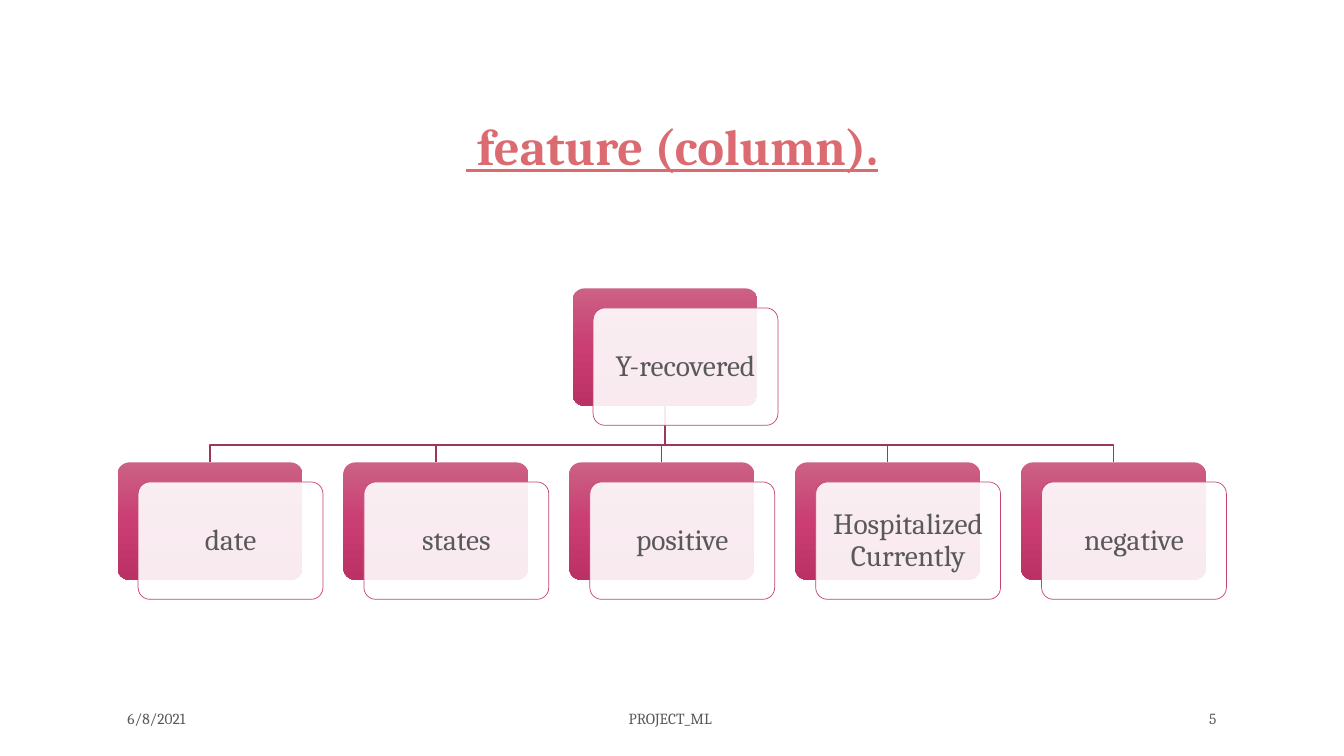
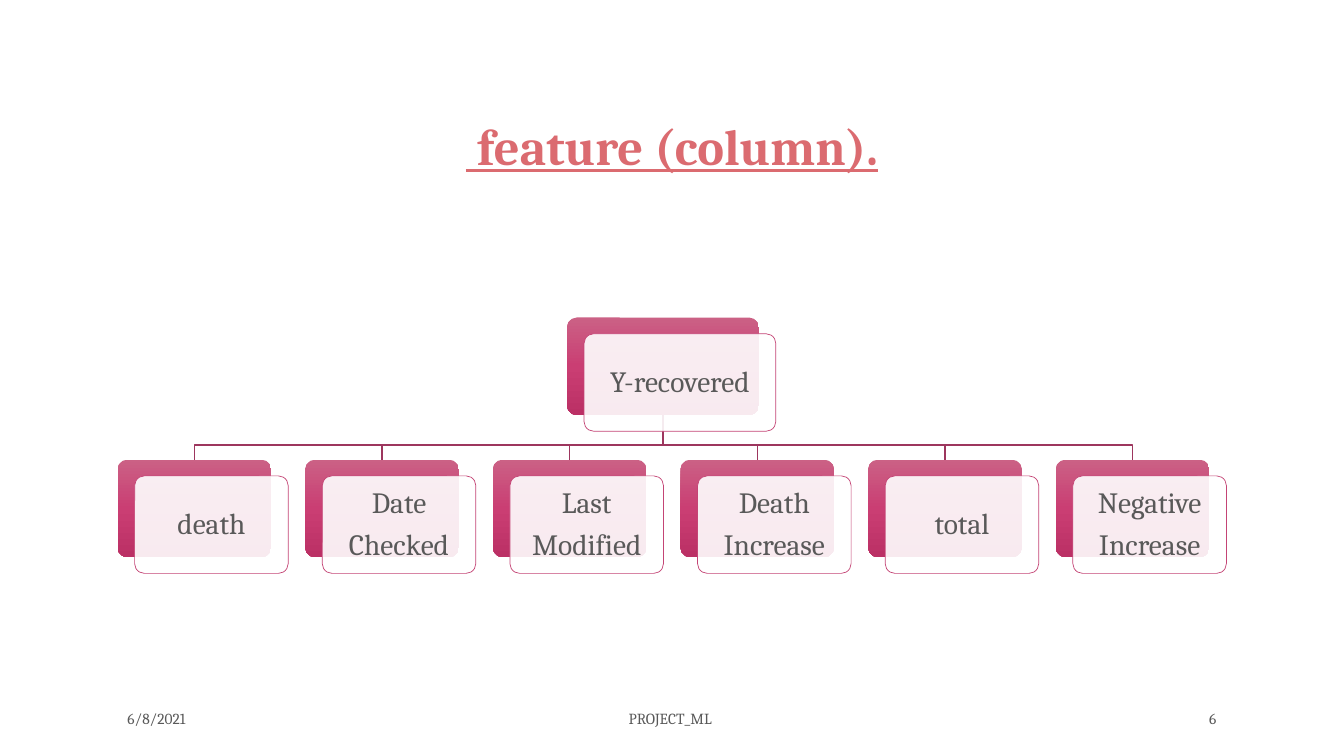
from copy import deepcopy
from dataclasses import dataclass

from lxml.etree import SubElement
from pptx import Presentation
from pptx.dml.color import RGBColor
from pptx.enum.shapes import MSO_SHAPE as Preset
from pptx.enum.text import MSO_ANCHOR as Anchor, MSO_AUTO_SIZE as AutoSize, PP_ALIGN as Align
from pptx.oxml.ns import qn
from pptx.shapes.autoshape import Shape
from pptx.slide import Slide
from pptx.text.text import TextFrame
from pptx.util import Pt

FONT = "Cambria"
CORAL = RGBColor(0xDB, 0x6B, 0x70)
GREY = RGBColor(0x59, 0x59, 0x59)
WHITE = RGBColor(0xFF, 0xFF, 0xFF)
PLUM = RGBColor(0x9D, 0x36, 0x5E)
ROSE = RGBColor(0xC4, 0x44, 0x75)
CARD_GRADIENT = (
    (0.0, RGBColor(0xCB, 0x61, 0x85)),
    (0.5, RGBColor(0xCA, 0x3E, 0x73)),
    (1.0, RGBColor(0xBB, 0x30, 0x65)),
)

MARGIN = 84
CONTENT_WIDTH = 792
BUS_TOP = 318
HEIGHT_RATIO = 0.635
TITLE = " feature (column)."
ROOT_LABEL = "Y-recovered"


@dataclass(frozen=True)
class Tree:
    number: int
    root_left: float
    root_top: float
    root_width: float
    leaf_top: float
    leaves: tuple[str, ...]


@dataclass(frozen=True)
class Card:
    label: str
    left: float
    top: float
    width: float
    height: float
    shift: float

    @property
    def middle(self) -> float:
        return self.left + self.width / 2


@dataclass(frozen=True)
class FooterPart:
    text: str
    left: float
    width: float
    align: Align


TREES = (
    Tree(5, 409, 206, 132, 330.3,
         ("date", "states", "positive", "Hospitalized Currently", "negative")),
    Tree(6, 405, 226.8, 137, 328.3,
         ("death", "Date\nChecked", "Last\nModified", "Death\nIncrease", "total",
          "Negative\nIncrease")),
)


def write(frame: TextFrame, text: str, *, size: float, color: RGBColor = GREY,
          align: Align = Align.CENTER, anchor: Anchor = Anchor.MIDDLE,
          bold: bool = False, underline: bool = False,
          line_spacing: float = 1.0, space_after: float = 0) -> None:
    frame.word_wrap = True
    frame.auto_size = AutoSize.NONE
    frame.vertical_anchor = anchor
    frame.text = text
    for para in frame.paragraphs:
        para.alignment = align
        para.line_spacing = line_spacing
        para.space_after = Pt(space_after)
        font = para.font
        font.name, font.size, font.color.rgb = FONT, Pt(size), color
        font.bold, font.underline = bold, underline


def add_rounded(page: Slide, left: float, top: float, width: float, height: float) -> Shape:
    box = page.shapes.add_shape(Preset.ROUNDED_RECTANGLE, Pt(left), Pt(top), Pt(width), Pt(height))
    box.adjustments[0] = 0.1
    box.shadow.inherit = False
    return box


def fill_gradient(box: Shape) -> None:
    box.fill.gradient()
    box.fill.gradient_angle = 270
    stop_list = box._element.spPr.find(qn("a:gradFill")).find(qn("a:gsLst"))
    stop_list.append(deepcopy(stop_list[-1]))
    for stop, (position, color) in zip(box.fill.gradient_stops, CARD_GRADIENT):
        stop.position = position
        stop.color.rgb = color


def add_card(page: Slide, card: Card) -> None:
    back = add_rounded(page, card.left, card.top, card.width, card.height)
    fill_gradient(back)
    back.line.fill.background()

    front = add_rounded(page, card.left + card.shift, card.top + card.height / 6,
                        card.width, card.height)
    front.fill.solid()
    front.fill.fore_color.rgb = WHITE
    color = front._element.spPr.find(qn("a:solidFill")).find(qn("a:srgbClr"))
    SubElement(color, qn("a:alpha")).set("val", "90000")
    front.line.color.rgb = ROSE
    front.line.width = Pt(0.5)
    frame = front.text_frame
    frame.margin_left = frame.margin_right = Pt(6.3)
    frame.margin_top = frame.margin_bottom = Pt(6.3)
    write(frame, card.label, size=21, line_spacing=0.9, space_after=7.35)


def add_branch(page: Slide, root: Card, leaf: Card) -> None:
    builder = page.shapes.build_freeform(Pt(root.middle), Pt(root.top + root.height))
    corners = ((root.middle, BUS_TOP), (leaf.middle, BUS_TOP), (leaf.middle, leaf.top))
    builder.add_line_segments([(Pt(x), Pt(y)) for x, y in corners], close=False)
    branch = builder.convert_to_shape()
    branch.shadow.inherit = False
    branch.fill.background()
    branch.line.color.rgb = PLUM
    branch.line.width = Pt(1)


def add_tree(page: Slide, tree: Tree) -> None:
    count = len(tree.leaves)
    width = CONTENT_WIDTH * 9 / (11 * count - 1)
    height = width * HEIGHT_RATIO
    shift = width / 9
    pitch = width + 2 * shift
    root = Card(ROOT_LABEL, tree.root_left, tree.root_top, tree.root_width, height, shift)
    leaves = [Card(label, MARGIN + index * pitch, tree.leaf_top, width, height, shift)
              for index, label in enumerate(tree.leaves)]
    for leaf in reversed(leaves):
        add_branch(page, root, leaf)
    for card in (root, *leaves):
        add_card(page, card)


def add_title(page: Slide) -> None:
    title = page.shapes.title
    title.left, title.top, title.width, title.height = Pt(MARGIN), Pt(36), Pt(CONTENT_WIDTH), Pt(93.6)
    write(title.text_frame, TITLE, size=36, color=CORAL, anchor=Anchor.BOTTOM,
          bold=True, underline=True, line_spacing=0.9)


def add_footer(page: Slide, number: int) -> None:
    parts = (
        FooterPart("6/8/2021", MARGIN, 86.4, Align.LEFT),
        FooterPart("PROJECT_ML", 190.8, 576, Align.CENTER),
        FooterPart(str(number), 789.6, 86.4, Align.RIGHT),
    )
    for part in parts:
        box = page.shapes.add_textbox(Pt(part.left), Pt(504), Pt(part.width), Pt(18))
        write(box.text_frame, part.text, size=11, align=part.align)


def main() -> None:
    deck = Presentation()
    deck.slide_width, deck.slide_height = Pt(960), Pt(540)
    title_only = deck.slide_layouts.get_by_name("Title Only")
    for tree in TREES:
        page = deck.slides.add_slide(title_only)
        add_title(page)
        add_tree(page, tree)
        add_footer(page, tree.number)
    deck.save("out.pptx")


if __name__ == "__main__":
    main()
